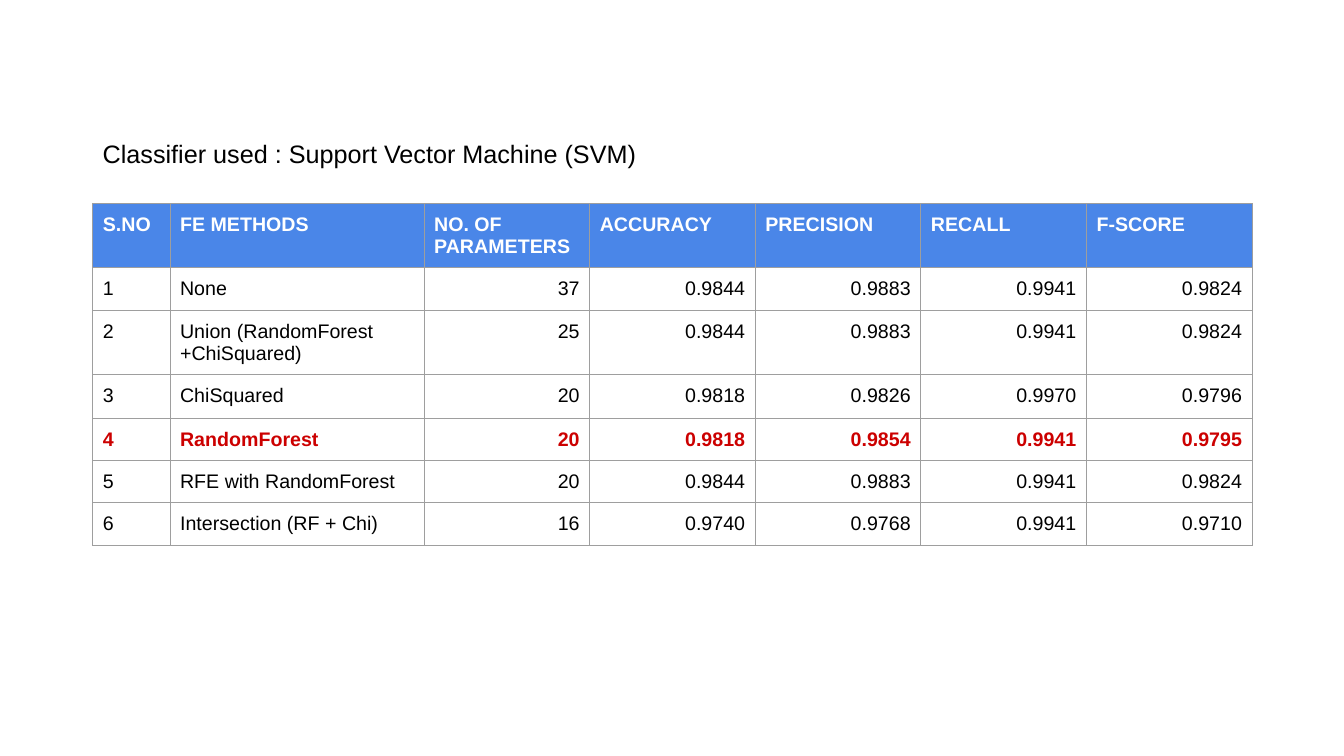
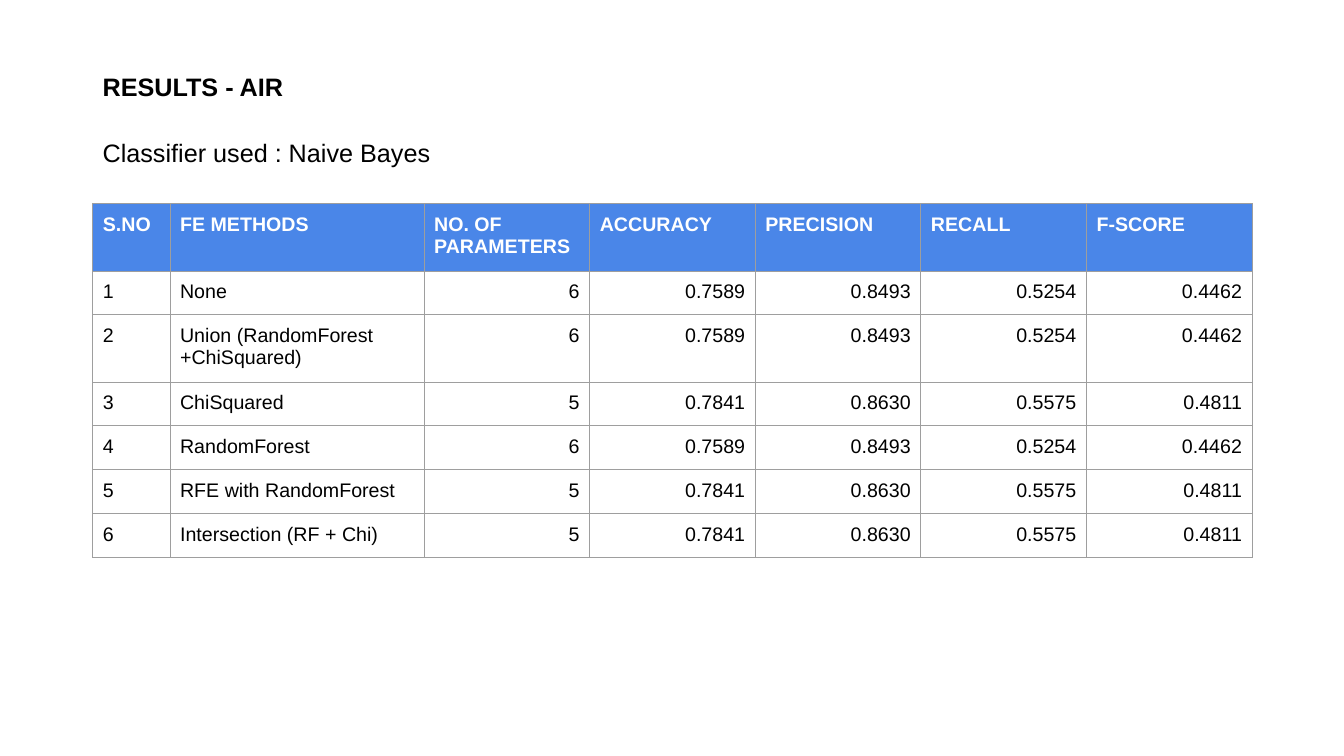
from lxml import etree
from pptx import Presentation
from pptx.dml import color
from pptx.enum import text
from pptx.oxml import ns
from pptx.util import Pt

BLUE, WHITE, BLACK, RED, GREY = "4A86E8", "FFFFFF", "000000", "CC0000", "9E9E9E"
LEFT = 66.24
PAD = Pt(7.2)
INSETS = {"margin_left": PAD, "margin_right": PAD,
          "margin_top": PAD, "margin_bottom": PAD}
WIDTHS = [55.2, 181.5] + [118.3] * 5
HEIGHTS = [30, 30, 30, 31.4, 30, 30, 30]
HEADS = ["S.NO", "FE METHODS", "NO. OF PARAMETERS", "ACCURACY",
         "PRECISION", "RECALL", "F-SCORE"]
METHODS = ["None", "Union (RandomForest +ChiSquared)", "ChiSquared",
           "RandomForest", "RFE with RandomForest", "Intersection (RF + Chi)"]


def rgb(code):
    return color.RGBColor.from_string(code)


def style(item, values):
    for name, value in values.items():
        setattr(item, name, value)


class Deck:
    def __init__(self):
        self.prs = Presentation()
        style(self.prs, {"slide_width": Pt(960), "slide_height": Pt(540)})
        self.slide = None

    def page(self):
        self.slide = self.prs.slides.add_slide(self.prs.slide_layouts[6])

    def words(self, frame, words, size, tint=BLACK, bold=False,
              align=text.PP_ALIGN.LEFT):
        para = frame.paragraphs[0]
        para.alignment = align
        run = para.add_run()
        run.text = words
        style(run.font, {"name": "Arial", "size": Pt(size), "bold": bold})
        run.font.color.rgb = rgb(tint)

    def label(self, words, top, width, height, bold=False):
        box = self.slide.shapes.add_textbox(Pt(LEFT), Pt(top), Pt(width), Pt(height))
        frame = box.text_frame
        style(frame, {"word_wrap": True, **INSETS})
        self.words(frame, words, 18, bold=bold)

    def border(self, cell):
        props = cell._tc.get_or_add_tcPr()
        for side in "LRTB":
            line = etree.SubElement(props, ns.qn("a:ln" + side), w=str(Pt(0.75)))
            fill = etree.SubElement(line, ns.qn("a:solidFill"))
            etree.SubElement(fill, ns.qn("a:srgbClr"), val=GREY)

    def cell(self, cell, words, head, strong, align):
        style(cell, INSETS)
        self.border(cell)
        if head:
            cell.fill.solid()
            cell.fill.fore_color.rgb = rgb(BLUE)
        else:
            cell.fill.background()
        tint = WHITE if head else RED if strong else BLACK
        self.words(cell.text_frame, words, 14, tint, head or strong, align)

    def table(self, scores, mark=None):
        rows = [HEADS] + [[str(num), name, *vals] for num, (name, vals)
                          in enumerate(zip(METHODS, scores), 1)]
        grid = self.slide.shapes.add_table(
            len(rows), len(HEADS), Pt(LEFT), Pt(145.5),
            Pt(sum(WIDTHS)), Pt(sum(HEIGHTS))).table
        style(grid, {"first_row": False, "horz_banding": False})
        for col, width in zip(grid.columns, WIDTHS):
            col.width = Pt(width)
        for row, height in zip(grid.rows, HEIGHTS):
            row.height = Pt(height)
        for i, row in enumerate(rows):
            for j, words in enumerate(row):
                align = text.PP_ALIGN.RIGHT if i and j > 1 else text.PP_ALIGN.LEFT
                self.cell(grid.cell(i, j), words, i == 0, i == mark, align)


def main():
    deck = Deck()

    # Support vector machine
    deck.page()
    deck.table([
        ["37", "0.9844", "0.9883", "0.9941", "0.9824"],
        ["25", "0.9844", "0.9883", "0.9941", "0.9824"],
        ["20", "0.9818", "0.9826", "0.9970", "0.9796"],
        ["20", "0.9818", "0.9854", "0.9941", "0.9795"],
        ["20", "0.9844", "0.9883", "0.9941", "0.9824"],
        ["16", "0.9740", "0.9768", "0.9941", "0.9710"],
    ], mark=4)
    deck.label("Classifier used : Support Vector Machine (SVM)", 91.4, 430.5, 27.4)

    # Naive Bayes: only two distinct outcomes
    deck.page()
    six = ["6", "0.7589", "0.8493", "0.5254", "0.4462"]
    five = ["5", "0.7841", "0.8630", "0.5575", "0.4811"]
    deck.table([six, six, five, six, five, five])
    deck.label("RESULTS - AIR", 43.9, 214.5, 36.7, bold=True)
    deck.label("Classifier used : Naive Bayes", 90.7, 260, 27.4)

    deck.prs.save("out.pptx")


if __name__ == "__main__":
    main()
